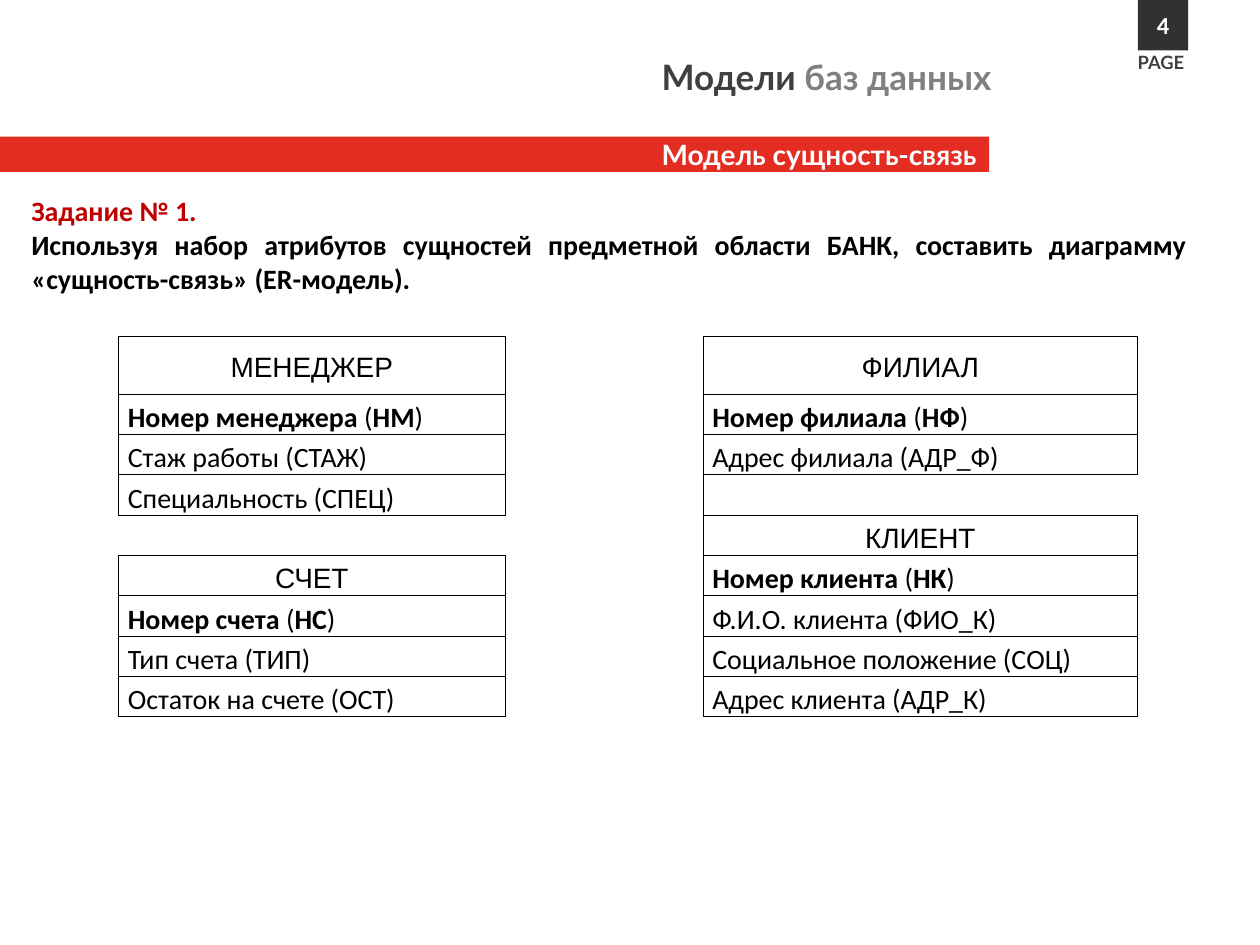
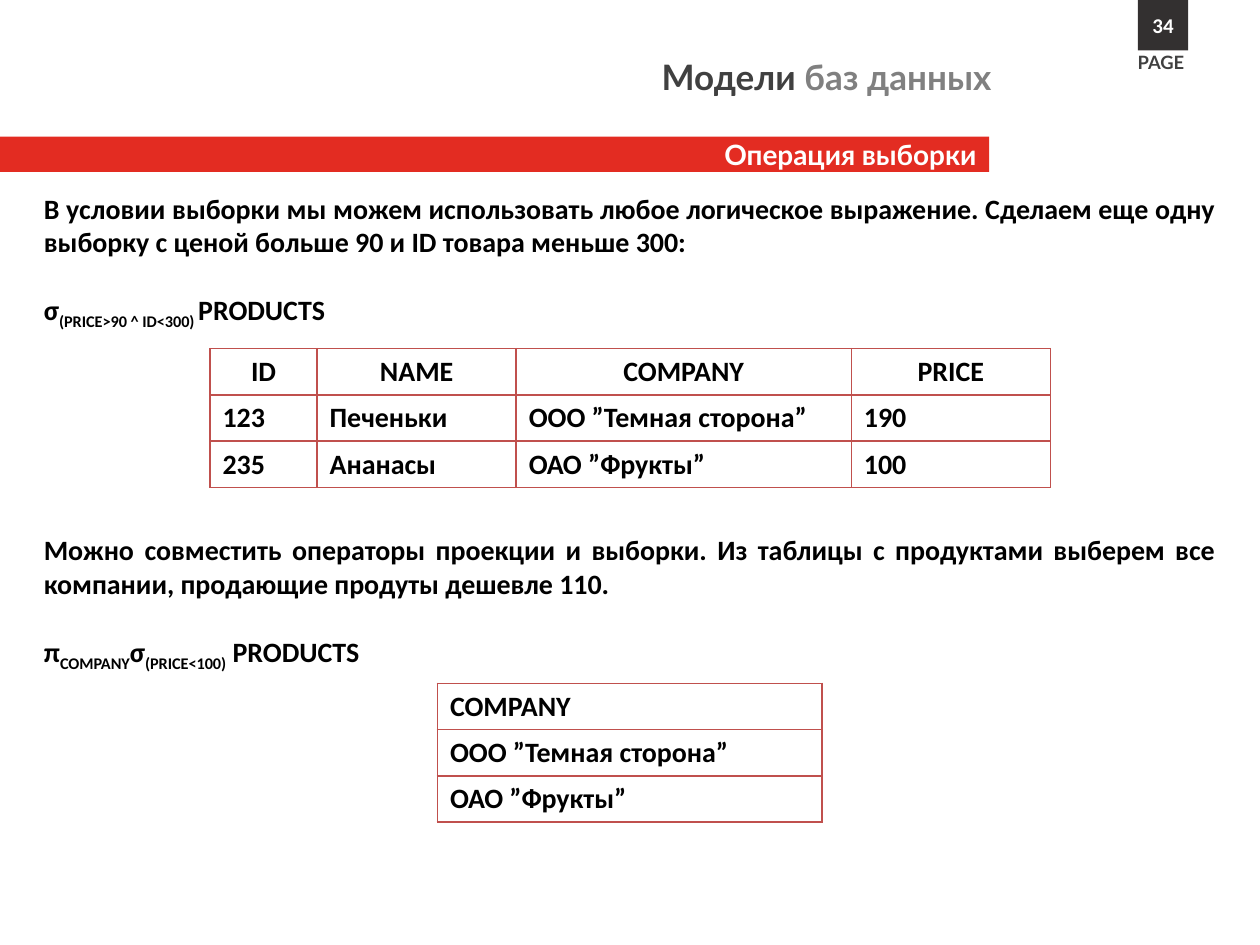
from lxml.etree import SubElement
from pptx import Presentation
from pptx.dml.color import RGBColor
from pptx.enum.shapes import MSO_SHAPE
from pptx.enum.text import MSO_ANCHOR, MSO_AUTO_SIZE, PP_ALIGN
from pptx.oxml.ns import qn
from pptx.util import Pt

RED, DARK, BADGE, GREY = "E32C22", "404040", "333030", "808080"
BLACK, WHITE, TASK_RED, GRID_RED = "000000", "FFFFFF", "C00000", "C0504D"
HEAD_FONT, BODY_FONT, ENTITY_FONT = "Lato", "Calibri", "Arial"
NO_STYLE = "{2D5ABB26-0587-4C30-8999-92F81FD0307C}"
SIDES = {"lnL": (0, -1), "lnR": (0, 1), "lnT": (-1, 0), "lnB": (1, 0)}


def rgb(value):
    """Turn a hex string into a colour."""
    return RGBColor.from_string(value)


def add_run(p, text, size=16, font=BODY_FONT, color=BLACK, bold=True, sub=False):
    """Add one formatted run to a paragraph."""
    r = p.add_run()
    r.text = text
    r.font.size, r.font.name, r.font.bold = Pt(size), font, bold
    r.font.color.rgb = rgb(color)
    if sub:
        r._r.get_or_add_rPr().set("baseline", "-25000")


def add_text(s, x, y, w, h, wrap=True):
    """Add a text box and return its text frame."""
    tf = s.shapes.add_textbox(Pt(x), Pt(y), Pt(w), Pt(h)).text_frame
    tf.word_wrap = wrap
    return tf


def add_block(s, x, y, w, h, color, align):
    """Add a plain filled rectangle and return its first paragraph."""
    sp = s.shapes.add_shape(MSO_SHAPE.RECTANGLE, Pt(x), Pt(y), Pt(w), Pt(h))
    sp.shadow.inherit = False
    sp.fill.solid()
    sp.fill.fore_color.rgb = rgb(color)
    sp.line.fill.background()
    tf = sp.text_frame
    tf.margin_top = tf.margin_bottom = 0
    tf.vertical_anchor = MSO_ANCHOR.MIDDLE
    tf.paragraphs[0].alignment = align
    return tf.paragraphs[0]


def add_header(s, topic, number, number_size):
    """Place the title, the topic band and the page badge."""
    p = add_block(s, 0, 78, 565.2, 20.2, RED, PP_ALIGN.RIGHT)
    add_run(p, topic, font=HEAD_FONT, color=WHITE)

    p = add_text(s, 643, 26, 42.5, 20, wrap=False).paragraphs[0]
    add_run(p, "PAGE", 10.5, HEAD_FONT, DARK)
    p = add_block(s, 650.2, 0, 28.8, 28.8, BADGE, PP_ALIGN.CENTER)
    add_run(p, number, number_size, color=WHITE)

    title = s.shapes.title
    title.left, title.top, title.width, title.height = Pt(10.8), Pt(28), Pt(563), Pt(31.7)
    tf = title.text_frame
    tf.auto_size = MSO_AUTO_SIZE.NONE
    tf.vertical_anchor = MSO_ANCHOR.TOP
    p = tf.paragraphs[0]
    p.alignment = PP_ALIGN.RIGHT
    add_run(p, "Модели ", 20, HEAD_FONT, DARK)
    add_run(p, "баз данных", 20, HEAD_FONT, GREY)


def add_grid(s, x, y, widths, heights):
    """Add an unstyled table with the given column and row sizes."""
    frame = s.shapes.add_table(len(heights), len(widths), Pt(x), Pt(y),
                               Pt(sum(widths)), Pt(sum(heights)))
    table = frame.table
    table.first_row = table.horz_banding = False
    table._tbl.tblPr.find(qn("a:tableStyleId")).text = NO_STYLE
    for column, width in zip(table.columns, widths):
        column.width = Pt(width)
    for row, height in zip(table.rows, heights):
        row.height = Pt(height)
    return table


def draw_border(cell, sides, color, width):
    """Draw the named sides of a cell and leave it unfilled."""
    tcPr = cell._tc.get_or_add_tcPr()
    for side in sides:
        ln = SubElement(tcPr, qn(f"a:{side}"), w=str(Pt(width)))
        fill = SubElement(ln, qn("a:solidFill"))
        SubElement(fill, qn("a:srgbClr"), val=color)
    cell.fill.background()


def add_entities(s, x, y, entities):
    """Lay out entities, keyed by (row, column), in one table with gaps."""
    table = add_grid(s, x, y, [221, 113, 248.5], [33] + [23] * 8)
    filled = {(top + i, col): (i, line)
              for (top, col), lines in entities.items()
              for i, line in enumerate(lines)}
    for row in range(9):
        for col in range(3):
            cell = table.cell(row, col)
            cell.margin_left = cell.margin_right = Pt(5.4)
            cell.margin_top = cell.margin_bottom = 0
            sides = [side for side, (dr, dc) in SIDES.items()
                     if (row, col) in filled or (row + dr, col + dc) in filled]
            draw_border(cell, sides, BLACK, 0.5)
            if (row, col) in filled:
                write_entity_line(cell, *filled[row, col])


def write_entity_line(cell, index, line):
    """Write an entity name, its key attribute or a plain attribute."""
    p = cell.text_frame.paragraphs[0]
    p.line_spacing = 1.2
    p.alignment = PP_ALIGN.JUSTIFY if index else PP_ALIGN.CENTER
    if index == 0:
        cell.vertical_anchor = MSO_ANCHOR.MIDDLE
        add_run(p, line, font=ENTITY_FONT, bold=False)
    elif index == 1:
        name, code = line
        for text, bold in ((name, True), (" (", False), (code, True), (")", False)):
            add_run(p, text, bold=bold)
    else:
        add_run(p, line, bold=False)


def add_relation(s, x, y, widths, rows, header_align):
    """Add a relation table with a red grid."""
    table = add_grid(s, x, y, widths, [26.4] * len(rows))
    for i, row in enumerate(rows):
        for j, text in enumerate(row):
            cell = table.cell(i, j)
            cell.vertical_anchor = MSO_ANCHOR.MIDDLE
            draw_border(cell, SIDES, GRID_RED, 1)
            p = cell.text_frame.paragraphs[0]
            p.alignment = PP_ALIGN.LEFT if i else header_align
            add_run(p, text)


def add_query(s, x, y, w, statement, formula):
    """Add a statement and, below it, a formula of (text, subscript) parts."""
    tf = add_text(s, x, y, w, 86)
    p = tf.paragraphs[0]
    p.alignment = PP_ALIGN.JUSTIFY
    add_run(p, statement)
    p = tf.add_paragraph()
    p.space_before = Pt(19.5)
    for text, sub in formula:
        add_run(p, text, sub=sub)


def build_task_slide(s):
    """Build the entity-relationship exercise."""
    add_header(s, "Модель сущность-связь", "4", 14)
    tf = add_text(s, 10.8, 107.3, 674.6, 65.5)
    add_run(tf.paragraphs[0], "Задание № 1.", color=TASK_RED)
    p = tf.add_paragraph()
    p.alignment = PP_ALIGN.JUSTIFY
    add_run(p, "Используя набор атрибутов сущностей предметной области БАНК, "
               "составить диаграмму «сущность-связь» (ER-модель).")
    add_entities(s, 67.7, 192.2, {
        (0, 0): ["МЕНЕДЖЕР", ("Номер менеджера", "НМ"),
                 "Стаж работы (СТАЖ)", "Специальность (СПЕЦ)"],
        (0, 2): ["ФИЛИАЛ", ("Номер филиала", "НФ"), "Адрес филиала (АДР_Ф)"],
        (5, 0): ["СЧЕТ", ("Номер счета", "НС"),
                 "Тип счета (ТИП)", "Остаток на счете (ОСТ)"],
        (4, 2): ["КЛИЕНТ", ("Номер клиента", "НК"), "Ф.И.О. клиента (ФИО_К)",
                 "Социальное положение (СОЦ)", "Адрес клиента (АДР_К)"],
    })


def build_selection_slide(s):
    """Build the selection operation examples."""
    add_header(s, "Операция выборки", "34", 12)
    dark_side, fruit = "ООО ”Темная сторона”", "ОАО ”Фрукты”"
    add_query(s, 18, 105.8, 684,
              "В условии выборки мы можем использовать любое логическое выражение. "
              "Сделаем еще одну выборку с ценой больше 90 и ID товара меньше 300:",
              [("σ", False), ("(PRICE>90 ^ ID<300) ", True), ("PRODUCTS", False)])
    add_relation(s, 120, 199.2, [61.2, 113.8, 191.5, 113.8], [
        ("ID", "NAME", "COMPANY", "PRICE"),
        ("123", "Печеньки", dark_side, "190"),
        ("235", "Ананасы", fruit, "100"),
    ], PP_ALIGN.CENTER)
    add_query(s, 18, 301, 684,
              "Можно совместить операторы проекции и выборки. Из таблицы с продуктами "
              "выберем все компании, продающие продуты дешевле 110.",
              [("π", False), ("COMPANY", True), ("σ", False),
               ("(PRICE<100)", True), (" PRODUCTS", False)])
    add_relation(s, 250, 390.5, [219.8],
                 [("COMPANY",), (dark_side,), (fruit,)], PP_ALIGN.LEFT)


def main():
    """Build and save the presentation."""
    prs = Presentation()
    prs.slide_width, prs.slide_height = Pt(720), Pt(540)
    for build in (build_task_slide, build_selection_slide):
        build(prs.slides.add_slide(prs.slide_layouts[5]))
    prs.save("out.pptx")


if __name__ == "__main__":
    main()
